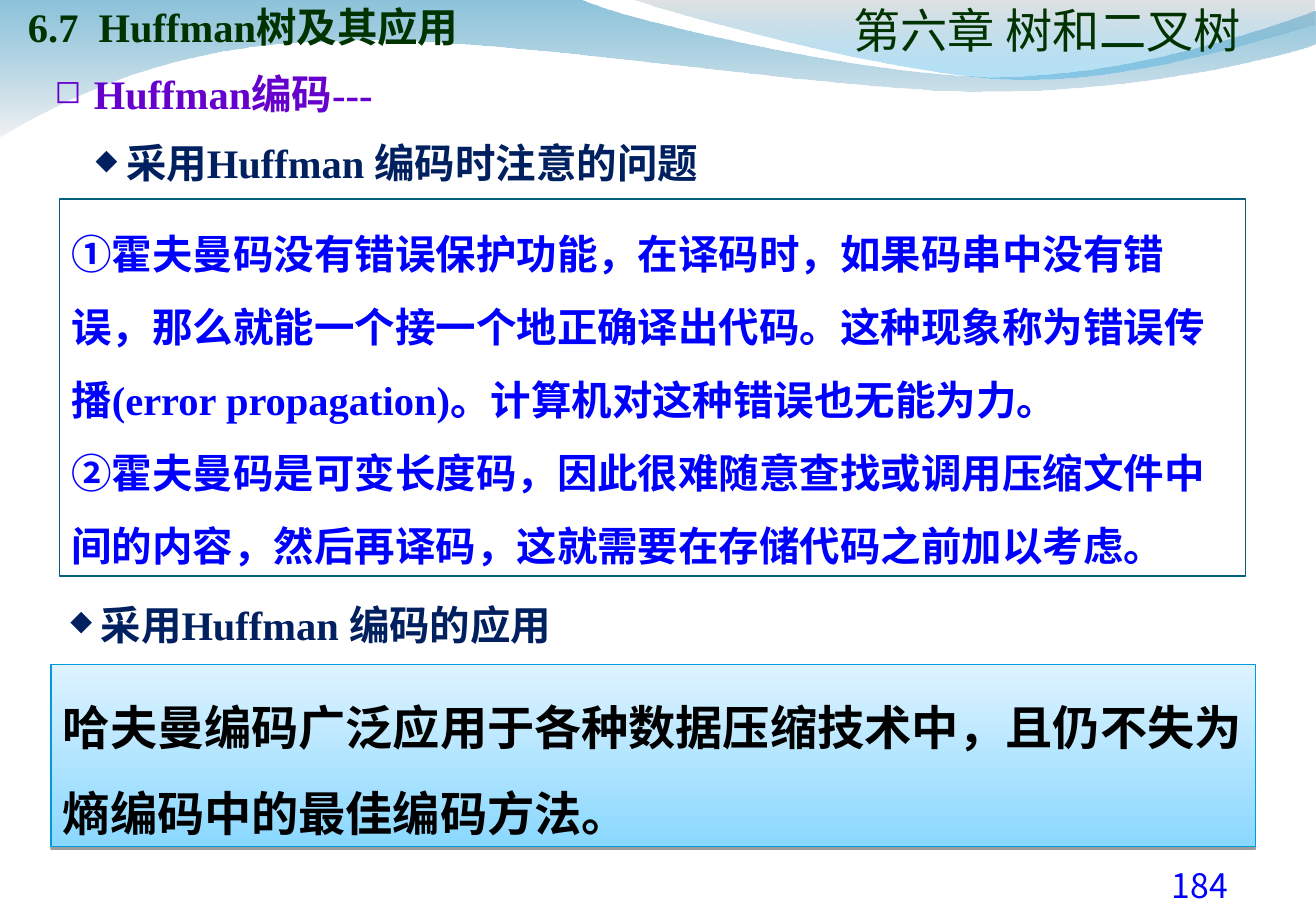
import lxml.etree
import pptx
import pptx.dml.color
import pptx.enum.shapes
import pptx.enum.text
import pptx.oxml.ns
import pptx.util

Inches = pptx.util.Inches
Pt = pptx.util.Pt
qn = pptx.oxml.ns.qn
Align = pptx.enum.text.PP_ALIGN
Anchor = pptx.enum.text.MSO_ANCHOR
AutoSize = pptx.enum.text.MSO_AUTO_SIZE

LATIN = "Times New Roman"
CHINESE = "Noto Sans CJK SC"
NAVY = "002060"
PURPLE = "6600CC"
BLUE = "0000FF"
GREEN = "003300"
TITLE_INSETS = (0, 0.05, 0, 0)
BODY_INSETS = (0.1, 0.05, 0.1, 0.05)

LOWER_WAVE = [
    [(0, -0.01)],
    [(4.77, -0.01)],
    [(5.15, 0.17), (7.19, 0.63), (8.22, 0.63)],
    [(9.24, 0.63), (10.38, 0.26), (10.83, 0.09)],
    [(10.85, 0.36)],
    [(10.65, 0.44), (9.42, 0.76), (8.08, 0.75)],
    [(6.74, 0.75), (4.14, 0.28), (2.79, 0.34)],
    [(1.4, 0.35), (0.5, 0.83), (-0.01, 1.13)],
]
UPPER_WAVE = [
    [(5.19, -0.01)],
    [(5.52, 0.11), (7.39, 0.62), (8.33, 0.65)],
    [(9.27, 0.69), (10.42, 0.32), (10.83, 0.21)],
    [(10.83, 0)],
]


def color(value):
    return pptx.dml.color.RGBColor.from_string(value)


def add_xml(parent, tag, **attributes):
    element = lxml.etree.SubElement(parent, qn(tag))
    for name, value in attributes.items():
        element.set(name, str(value))
    return element


def fill_gradient(shape, colors, angle, opacities=()):
    shape.fill.gradient()
    shape.fill.gradient_angle = angle
    for stop, value in zip(shape.fill.gradient_stops, colors):
        stop.color.rgb = color(value)
    for element, opacity in zip(shape._element.iter(qn("a:srgbClr")), opacities):
        add_xml(element, "a:alpha", val=opacity * 1000)


def bend_segments(shape, segments):
    lines = list(shape._element.iter(qn("a:lnTo")))
    for line, segment in zip(lines, segments):
        if len(segment) == 3:
            curve = lxml.etree.Element(qn("a:cubicBezTo"))
            for x, y in segment:
                add_xml(curve, "a:pt", x=Inches(x) - shape.left, y=Inches(y) - shape.top)
            line.getparent().replace(line, curve)


def add_wave(slide, segments, colors, opacities):
    corners = [tuple(map(Inches, segment[-1])) for segment in segments]
    builder = slide.shapes.build_freeform(*corners[0])
    builder.add_line_segments(corners[1:], close=True)
    shape = builder.convert_to_shape()
    bend_segments(shape, segments[1:])
    shape.shadow.inherit = False
    fill_gradient(shape, colors, 270, opacities)
    shape.line.fill.background()


def write_text(shape, texts, size, value, bold=True, font=LATIN, align=Align.LEFT,
               insets=BODY_INSETS, anchor=Anchor.TOP, spacing=None, wrap=True):
    frame = shape.text_frame
    frame.word_wrap = wrap
    frame.vertical_anchor = anchor
    frame.auto_size = AutoSize.NONE if anchor == Anchor.BOTTOM else AutoSize.SHAPE_TO_FIT_TEXT
    (frame.margin_left, frame.margin_top,
     frame.margin_right, frame.margin_bottom) = map(Inches, insets)
    for index, text in enumerate(texts):
        paragraph = frame.add_paragraph() if index else frame.paragraphs[0]
        paragraph.alignment = align
        paragraph._p.get_or_add_pPr().set("hangingPunct", "0")
        if spacing:
            paragraph.line_spacing = spacing
        run = paragraph.add_run()
        run.text = text
        run.font.name = font
        run.font.size = Pt(size)
        run.font.bold = bold
        run.font.color.rgb = color(value)
        add_xml(run._r.get_or_add_rPr(), "a:ea", typeface=CHINESE)


def add_text(slide, box, text, size, value, **options):
    shape = slide.shapes.add_textbox(*map(Inches, box))
    write_text(shape, [text], size, value, **options)
    return shape.text_frame.paragraphs[0]


def add_bullet(paragraph, character, value, margin, hanging, percent):
    properties = paragraph._p.get_or_add_pPr()
    properties.set("marL", str(Inches(margin)))
    properties.set("indent", str(-Inches(hanging)))
    add_xml(add_xml(properties, "a:buClr"), "a:srgbClr", val=value)
    add_xml(properties, "a:buSzPct", val=percent * 1000)
    add_xml(properties, "a:buChar", char=character)


def add_box(slide, box, line_color, line_width):
    rectangle = pptx.enum.shapes.MSO_SHAPE.RECTANGLE
    shape = slide.shapes.add_shape(rectangle, *map(Inches, box))
    shape.shadow.inherit = False
    shape.fill.background()
    shape.line.color.rgb = color(line_color)
    shape.line.width = Pt(line_width)
    return shape


def add_drop_shadow(shape):
    effects = shape._element.spPr.find(qn("a:effectLst"))
    shadow = add_xml(effects, "a:outerShdw", blurRad=0, dist=Pt(1.6),
                     dir=5400000, rotWithShape=0)
    add_xml(add_xml(shadow, "a:srgbClr", val="000000"), "a:alpha", val=38000)


def main():
    presentation = pptx.Presentation()
    presentation.slide_width = Inches(10.84)
    presentation.slide_height = Inches(7.5)
    slide = presentation.slides.add_slide(presentation.slide_layouts[6])

    add_wave(slide, LOWER_WAVE, ("0079AF", "E7E7E7"), (45, 55))
    add_wave(slide, UPPER_WAVE, ("BCBCBC", "009BE5"), (45, 30))

    page_number = add_text(slide, (9, 7.07, 1.83, 0.51), "184 ", 20, BLUE,
                           bold=False, font=CHINESE, align=Align.CENTER)
    page_number.space_before = Pt(12.5)
    add_text(slide, (6.98, -0.31, 3.29, 0.79), "第六章 树和二叉树", 28, GREEN, bold=False,
             align=Align.CENTER, insets=TITLE_INSETS, anchor=Anchor.BOTTOM)

    problems = add_box(slide, (0.49, 1.64, 9.77, 3.1), "04617B", 1)
    write_text(problems, [
        "①霍夫曼码没有错误保护功能，在译码时，如果码串中没有错误，那么就能一个接一个地正确译出代码。"
        "这种现象称为错误传播(error propagation)。计算机对这种错误也无能为力。",
        "②霍夫曼码是可变长度码，因此很难随意查找或调用压缩文件中间的内容，然后再译码，"
        "这就需要在存储代码之前加以考虑。",
    ], 24, BLUE, spacing=1.5)

    topic = add_text(slide, (0.45, 0.13, 5.35, 0.84), " Huffman编码---", 24, PURPLE,
                     insets=TITLE_INSETS, anchor=Anchor.BOTTOM)
    add_bullet(topic, "◻", PURPLE, 0.24, 0.24, 80)
    add_text(slide, (0.23, -0.42, 9.75, 0.84), "6.7  Huffman树及其应用", 24, GREEN,
             insets=TITLE_INSETS, anchor=Anchor.BOTTOM)

    for box, heading, wrap in (
        ((-0.29, 4.89, 5.62, 0.5), "采用Huffman 编码的应用", True),
        ((0.53, 1.09, 5.4, 0.5), "采用Huffman 编码时注意的问题", False),
    ):
        paragraph = add_text(slide, box, heading, 24, NAVY, align=Align.CENTER, wrap=wrap)
        add_bullet(paragraph, "◆", NAVY, 0.33, 0.25, 70)

    application = add_box(slide, (0.42, 5.47, 9.92, 1.5), "009CD9", 0.75)
    fill_gradient(application, ("8AD8FF", "DEF3FF"), 90)
    add_drop_shadow(application)
    write_text(application, ["哈夫曼编码广泛应用于各种数据压缩技术中，且仍不失为熵编码中的最佳编码方法。"],
               28, "000000", font="TeX Gyre Pagella", spacing=1.5)

    presentation.save("out.pptx")


if __name__ == "__main__":
    main()
